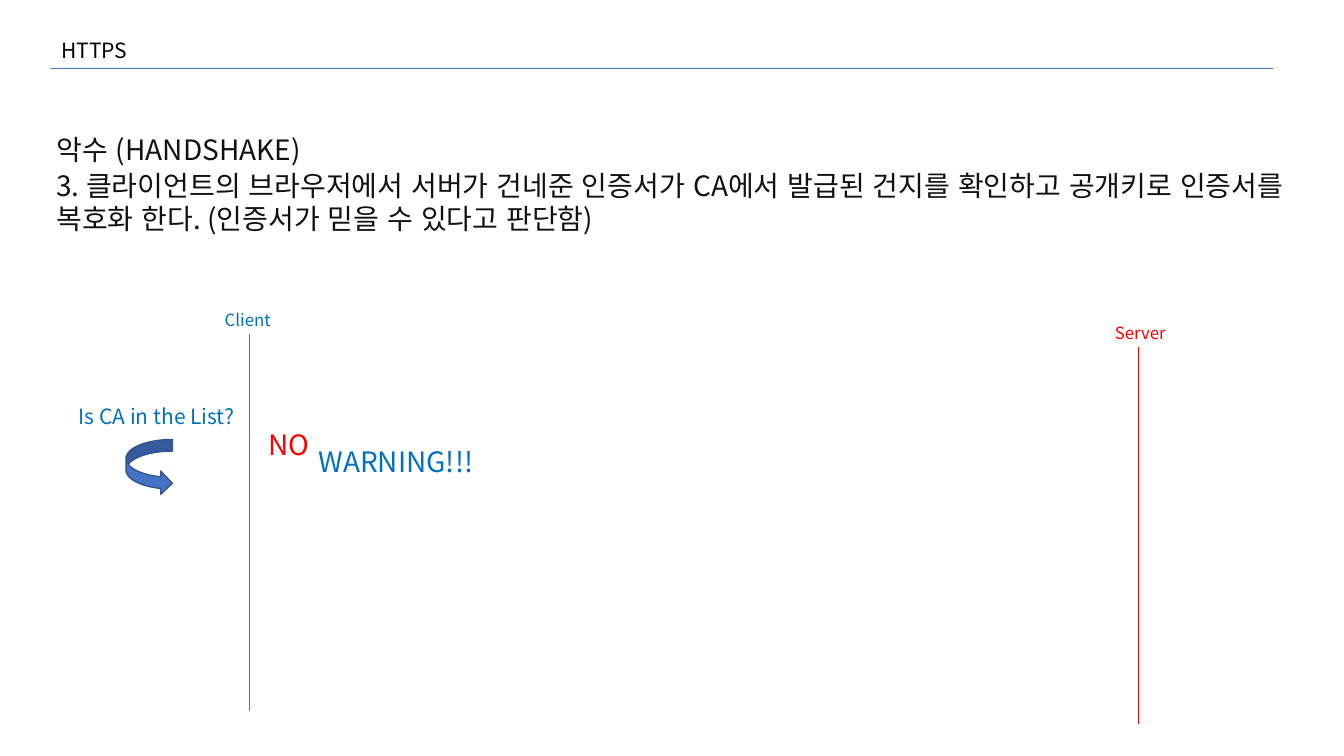
from lxml.etree import SubElement
from pptx import Presentation
from pptx.dml.color import RGBColor
from pptx.enum.lang import MSO_LANGUAGE_ID as Lang
from pptx.enum.shapes import MSO_CONNECTOR as Link, MSO_SHAPE as Shape
from pptx.enum.text import MSO_ANCHOR as Anchor, MSO_AUTO_SIZE as Fit, PP_ALIGN as Align
from pptx.oxml.ns import qn
from pptx.util import Inches, Pt

THEME = {
    "font": "Noto Sans CJK KR",
    "black": "000000", "ink": "111111", "client": "0070C0", "alert": "FF0000",
    "accent": "4472C4", "accent_edge": "325491",
    "body": 20, "note": 15, "label": 12,
    "hairline": 0.5, "edge": 1,
}

deck = Presentation()
deck.slide_width, deck.slide_height = Inches(13.333), Inches(7.5)
slide = deck.slides.add_slide(deck.slide_layouts[5])

# Grid of 160 columns by 90 rows
COL, ROW = deck.slide_width / 160, deck.slide_height / 90
LEFT = 6.12


def write(box, words, size, color, anchor=Anchor.MIDDLE, inset=0.05):
    frame = box.text_frame
    frame.text = words
    frame_format = {
        "word_wrap": True, "auto_size": Fit.NONE, "vertical_anchor": anchor,
        "margin_left": Inches(inset), "margin_right": Inches(inset),
        "margin_top": Inches(0.05), "margin_bottom": Inches(0.05),
    }
    for key, value in frame_format.items():
        setattr(frame, key, value)
    line = frame.paragraphs[0]
    line.alignment, line.line_spacing = Align.LEFT, 1.0
    font = line.runs[0].font
    font_format = {"name": THEME["font"], "size": Pt(THEME[size]), "language_id": Lang.KOREAN}
    for key, value in font_format.items():
        setattr(font, key, value)
    font.color.rgb = RGBColor.from_string(THEME[color])
    SubElement(line.runs[0]._r.get_or_add_rPr(), qn("a:ea"), typeface=THEME["font"])


def rule(col1, row1, col2, row2, color):
    stroke = slide.shapes.add_connector(
        Link.STRAIGHT, round(col1 * COL), round(row1 * ROW), round(col2 * COL), round(row2 * ROW))
    stroke.line.color.rgb = RGBColor.from_string(THEME[color])
    stroke.line.width = Pt(THEME["hairline"])
    SubElement(stroke._element.spPr, qn("a:effectLst"))


# Title and its underline
rule(LEFT, 8.16, 151.56, 8.16, "accent")
title = slide.shapes.title
title_place = {"left": LEFT * COL, "top": 3.84 * ROW, "width": 29.28 * COL, "height": 4.2 * ROW}
for side, length in title_place.items():
    setattr(title, side, round(length))
write(title, "HTTPS", "note", "black", Anchor.TOP, 0.1)

# Client and server lifelines
for axis, top, color in [(29.64, 39.72, "accent"), (135.48, 41.28, "alert")]:
    rule(axis, top, axis, top + 44.9, color)

# Arrow for the client's own check
check = slide.shapes.add_shape(
    Shape.CURVED_RIGHT_ARROW, round(15 * COL), round(52.32 * ROW), round(5.52 * COL), round(6.6 * ROW))
check.shadow.inherit = False
check.fill.solid()
check.fill.fore_color.rgb = RGBColor.from_string(THEME["accent"])
check.line.color.rgb = RGBColor.from_string(THEME["accent_edge"])
check.line.width = Pt(THEME["edge"])

# Explanation, lifeline names and messages: column, row, columns, rows
texts = [
    (LEFT, 15.12, 31.32, 5.28, "악수 (HANDSHAKE)", "body", "ink"),
    (LEFT, 19.32, 147.72, 9.36,
     "3. 클라이언트의 브라우저에서 서버가 건네준 인증서가 CA에서 발급된 건지를 확인하고 "
     "공개키로 인증서를 복호화 한다. (인증서가 믿을 수 있다고 판단함)", "body", "ink"),
    (26.16, 36.24, 7.2, 3.72, "Client", "label", "client"),
    (132.12, 37.8, 8.04, 3.72, "Server", "label", "alert"),
    (8.76, 47.4, 21.36, 4.32, "Is CA in the List?", "note", "client"),
    (31.32, 50.28, 6.72, 5.28, "NO", "body", "alert"),
    (37.32, 52.32, 22.2, 5.28, "WARNING!!!", "body", "client"),
]
for col, row, cols, rows, words, size, color in texts:
    box = slide.shapes.add_textbox(
        round(col * COL), round(row * ROW), round(cols * COL), round(rows * ROW))
    write(box, words, size, color)

deck.save("out.pptx")
